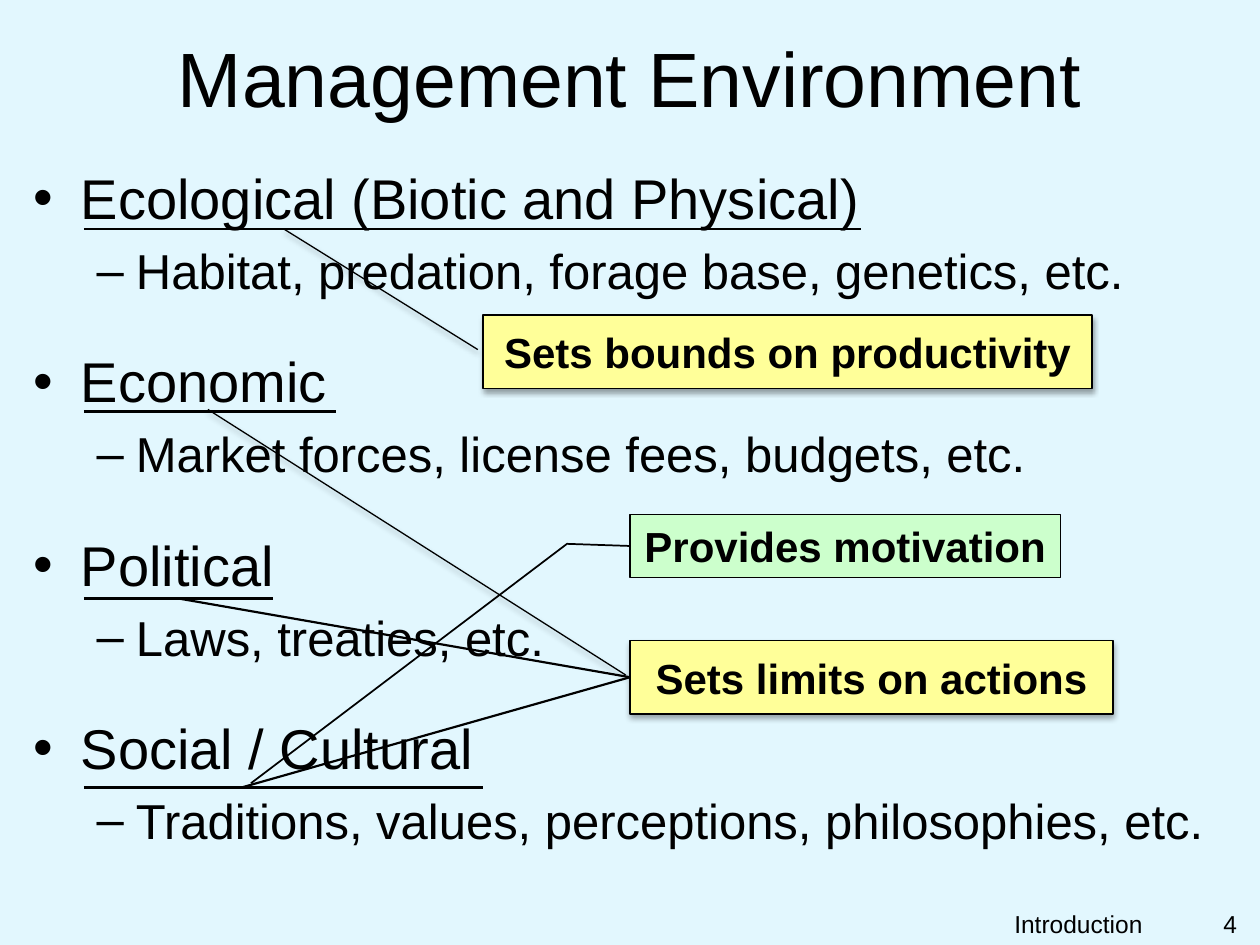
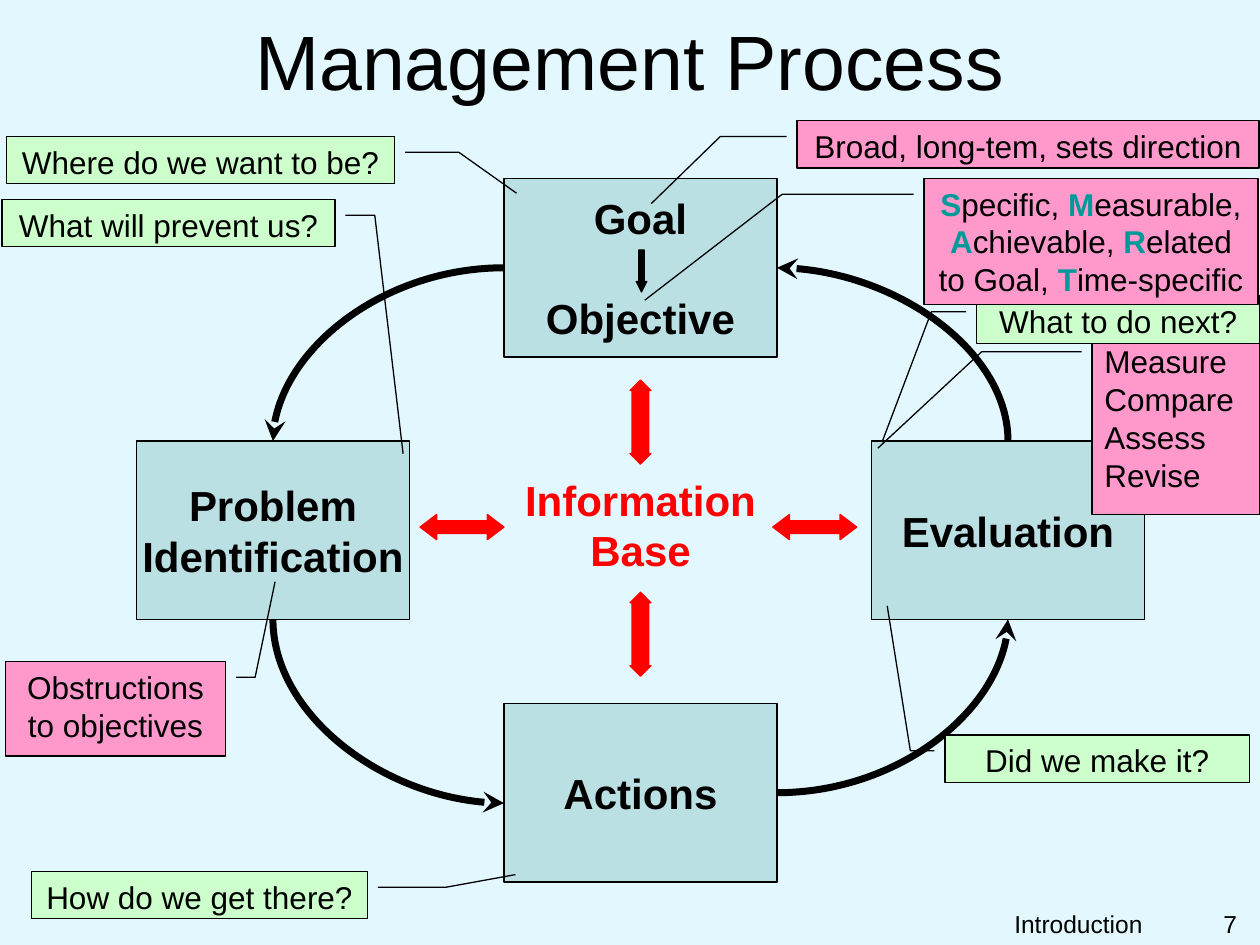
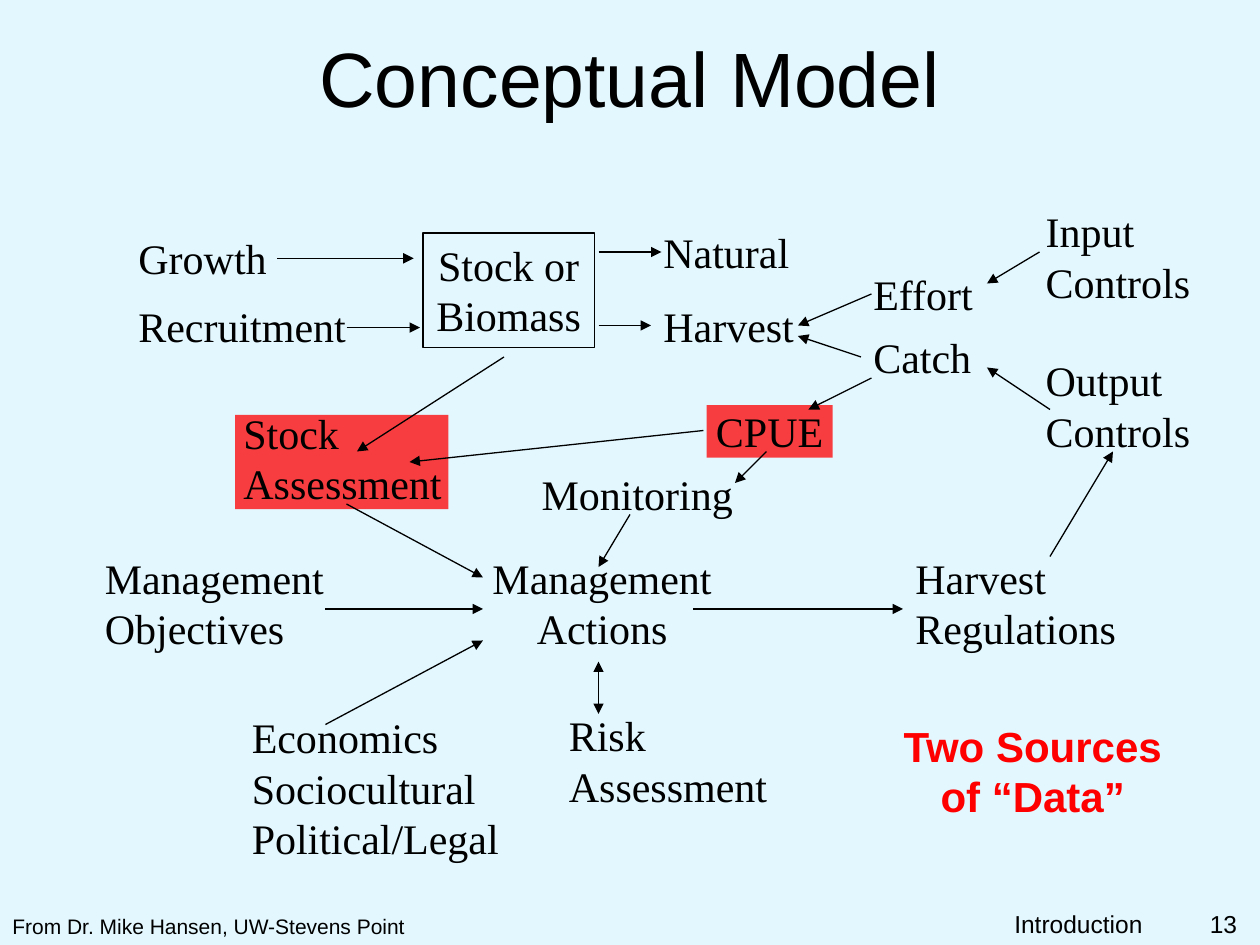
from lxml import etree
from pptx import Presentation
from pptx.dml.color import RGBColor
from pptx.enum.shapes import MSO_CONNECTOR, MSO_SHAPE
from pptx.enum.text import MSO_ANCHOR, PP_ALIGN
from pptx.oxml.ns import qn
from pptx.util import Inches, Pt

STRAIGHT, CURVE = MSO_CONNECTOR.STRAIGHT, MSO_CONNECTOR.CURVE
RECTANGLE, PROCESS = MSO_SHAPE.RECTANGLE, MSO_SHAPE.FLOWCHART_PROCESS
CALLOUTS = {2: MSO_SHAPE.LINE_CALLOUT_1, 3: MSO_SHAPE.LINE_CALLOUT_2}
VERTICAL, HORIZONTAL = MSO_SHAPE.UP_DOWN_ARROW, MSO_SHAPE.LEFT_RIGHT_ARROW
DOWN = MSO_SHAPE.DOWN_ARROW
LEFT, CENTER, RIGHT = PP_ALIGN.LEFT, PP_ALIGN.CENTER, PP_ALIGN.RIGHT
TOP, MIDDLE = MSO_ANCHOR.TOP, MSO_ANCHOR.MIDDLE

# Shared look; every length is in cells of a 120 x 90 grid
COLUMNS, ROWS = 120, 90
WIDTH, HEIGHT = Inches(10), Inches(7.5)
SKY, BLACK, RED, TEAL = "E2F7FE", "000000", "FF0000", "009999"
YELLOW, GREEN, PINK, AQUA = "FFFF99", "CCFFCC", "FF99CC", "BBE0E3"
SANS, SERIF = "Arial", "Times New Roman"
HEADING = {"size": Pt(24), "name": SANS, "bold": True}
NOTE = {"size": Pt(18), "name": SANS}
TERM = {"size": Pt(24), "name": SERIF}
FOOTER = {"size": Pt(14), "name": SANS}
SOURCE = {"size": Pt(12), "name": SANS}


def rgb(color):
    return RGBColor.from_string(color)


def place(x, y):
    return int(WIDTH * x / COLUMNS), int(HEIGHT * y / ROWS)


def area(box):
    return *place(*box[:2]), *place(*box[2:])


def add_run(paragraph, text, style, color):
    run = paragraph.add_run()
    run.text = text
    for name, value in style.items():
        setattr(run.font, name, value)
    run.font.color.rgb = rgb(color)
    return run


def write(frame, text, style, color=BLACK, align=CENTER, anchor=TOP, wrap=True,
          accents=""):
    """One paragraph per line of text; letters in accents stand out."""
    frame.word_wrap = wrap
    frame.vertical_anchor = anchor
    for number, line in enumerate(text.split("\n")):
        paragraph = frame.paragraphs[0] if number == 0 else frame.add_paragraph()
        paragraph.alignment = align
        plain = ""
        for letter in line:
            if letter in accents:
                if plain:
                    add_run(paragraph, plain, style, color)
                add_run(paragraph, letter, {**style, "bold": True}, TEAL)
                plain = ""
            else:
                plain += letter
        if plain:
            add_run(paragraph, plain, style, color)


def add_text(slide, box, text, style, **layout):
    write(slide.shapes.add_textbox(*area(box)).text_frame, text, style, **layout)


def add_box(slide, kind, box, fill=None, line=BLACK, width=0.75, adjust=()):
    shape = slide.shapes.add_shape(kind, *area(box))
    shape.shadow.inherit = False
    if fill:
        shape.fill.solid()
        shape.fill.fore_color.rgb = rgb(fill)
    else:
        shape.fill.background()
    if line:
        shape.line.color.rgb = rgb(line)
        shape.line.width = Pt(width)
    else:
        shape.line.fill.background()
    for index, value in enumerate(adjust):
        shape.adjustments[index] = value
    return shape


def add_alpha(color_element, percent):
    etree.SubElement(color_element, qn("a:alpha"), val=str(percent * 1000))


def add_shadow(shape):
    effects = shape.element.spPr.find(qn("a:effectLst"))
    shadow = etree.SubElement(effects, qn("a:outerShdw"), blurRad=str(Pt(3.1)),
                              dist=str(Pt(1.8)), dir="5400000", rotWithShape="0")
    add_alpha(etree.SubElement(shadow, qn("a:srgbClr"), val=BLACK), 35)


def add_callout(slide, box, leader, text, fill, style, width=0.75, **layout):
    """Box whose leader runs through the given grid points."""
    left, top, wide, high = box
    shares = [share for x, y in leader
              for share in ((y - top) / high, (x - left) / wide)]
    shape = add_box(slide, CALLOUTS[len(leader)], box, fill, width=width,
                    adjust=shares)
    write(shape.text_frame, text, style, **layout)
    return shape


def add_note(slide, box, elbow, tip, text, fill, **layout):
    """Callout whose leader leaves one cell beside the box, near its top."""
    left, top, wide, _ = box
    start = left - 1 if tip[0] < left else left + wide + 1
    leader = [(start, top + 1.5), (elbow, top + 1.5), tip]
    add_callout(slide, box, leader, text, fill, NOTE, **layout)


def add_line(slide, start, end, width=0.75, kind=STRAIGHT, head=None, tail=None):
    line = slide.shapes.add_connector(kind, *place(*start), *place(*end))
    line.line.color.rgb = rgb(BLACK)
    line.line.width = Pt(width)
    properties = line.element.spPr
    outline = properties.find(qn("a:ln"))
    for tag, arrow in (("a:headEnd", head), ("a:tailEnd", tail)):
        if arrow:
            etree.SubElement(outline, qn(tag), type=arrow)
    etree.SubElement(properties, qn("a:effectLst"))
    return line


def add_arc(slide, start, end, **arrows):
    """Quarter curve that leaves start sideways and meets end upright."""
    arc = add_line(slide, start, end, 4, CURVE, **arrows)
    arc.element.spPr.find(qn("a:prstGeom")).set("prst", "curvedConnector2")


def new_slide(prs, layout, title, number, title_top=1.6):
    slide = prs.slides.add_slide(prs.slide_layouts[layout])
    heading = slide.shapes.title
    heading.left, heading.top, heading.width, heading.height = area(
        (0.8, title_top, 118.4, 11.4))
    write(heading.text_frame, title, {"size": Pt(44), "name": SANS}, anchor=MIDDLE)
    add_text(slide, (72, 86, 38, 3), "Introduction", FOOTER, align=RIGHT)
    add_text(slide, (111, 86, 8, 4), number, FOOTER, align=RIGHT)
    return slide


def fill_topics(body, topics):
    body.left, body.top, body.width, body.height = area((2, 15, 116, 70))
    frame = body.text_frame
    for number, (topic, examples) in enumerate(topics):
        heading = frame.add_paragraph() if number else frame.paragraphs[0]
        heading.space_before = Pt(27 if number else 0)
        add_run(heading, topic, {"size": Pt(32), "name": SANS}, BLACK)
        detail = frame.add_paragraph()
        detail.level = 1
        add_run(detail, examples, {"size": Pt(28), "name": SANS}, BLACK)


def build_environment(prs):
    slide = new_slide(prs, 1, "Management Environment", "4")
    fill_topics(slide.placeholders[1], [
        ("Ecological (Biotic and Physical)",
         "Habitat, predation, forage base, genetics, etc."),
        ("Economic", "Market forces, license fees, budgets, etc."),
        ("Political", "Laws, treaties, etc."),
        ("Social / Cultural", "Traditions, values, perceptions, philosophies, etc."),
    ])

    # Topic underlines
    for right, row in ((82, 21.8), (32, 39.2), (26, 57), (46, 75)):
        add_line(slide, (8, row), (right, row), 1.5)

    # Effects of the topics
    for box, leader, effect in (
        ((46, 30, 58, 7), [(45.5, 33.3), (27, 21.8)], "Sets bounds on productivity"),
        ((60, 61, 46, 7), [(59.6, 64.3), (19.8, 39)], "Sets limits on actions"),
    ):
        add_shadow(add_callout(slide, box, leader, effect, YELLOW, HEADING,
                               anchor=MIDDLE))
    for topic_point in ((17, 57), (23, 75)):
        add_line(slide, (60, 64.5), topic_point, 1.25)
    add_callout(slide, (60, 49, 41, 6), [(60, 52), (54, 51.8), (23.9, 74.6)],
                "Provides motivation", GREEN, HEADING, width=1)


def build_process(prs):
    slide = new_slide(prs, 5, "Management Process", "7", title_top=0)

    # Four steps around the information base
    middle_x, middle_y, wide, high = 61, 50.5, 26, 17
    for across, down, step in (
        (0, -25, "Goal\nObjective"), (0, 25, "Actions"),
        (-35, 0, "Problem\nIdentification"), (35, 0, "Evaluation"),
    ):
        box = (middle_x + across - wide / 2, middle_y + down - high / 2, wide, high)
        frame = add_box(slide, PROCESS, box, AQUA).text_frame
        write(frame, step, HEADING, anchor=MIDDLE, wrap=False)
        if step.startswith("Goal"):
            frame.paragraphs[1].space_before = Pt(28.8)
    add_text(slide, (48.8, 44.6, 24.4, 10.8), "Information\nBase", HEADING,
             color=RED, wrap=False)

    # Exchange with the base, and goal to objective
    for row in (36.2, 56.4):
        add_box(slide, VERTICAL, (60, row, 2, 8), RED, RED, adjust=(0.5, 0.8))
    for column in (40, 73.6):
        add_box(slide, HORIZONTAL, (column, 49, 8, 2.4), RED, RED,
                adjust=(0.5, 0.66))
    add_box(slide, DOWN, (60.6, 23.8, 1, 4), BLACK, adjust=(0.5, 1))

    # Cycle of steps
    add_arc(slide, (74, 75.5), (96, 59), tail="stealth")
    add_arc(slide, (74, 25.5), (96, 42), head="stealth")
    add_arc(slide, (48, 25.5), (26, 42), tail="stealth")
    add_arc(slide, (48, 76.5), (26, 59), head="stealth")

    # Notes on the steps
    add_note(slide, (75.9, 11.5, 44, 4.5), 68.6, (62, 19.4),
             "Broad, long-tem, sets direction", PINK)
    add_note(slide, (0.5, 63, 21, 9), 24.3, (26.2, 55.4),
             "Obstructions to objectives", PINK)
    add_note(slide, (0.6, 13, 37, 4.5), 43.7, (49.2, 18.4),
             "Where do we want to be?", GREEN)
    add_note(slide, (0.2, 19, 31.7, 4.5), 35.7, (38.4, 43.2),
             "What will prevent us?", GREEN)
    add_note(slide, (90, 70, 29, 4.5), 86.7, (84.5, 57.7), "Did we make it?", GREEN)
    add_note(slide, (104, 32, 16, 17), 93.5, (83.6, 42.7),
             "Measure\nCompare\nAssess\nRevise", PINK, align=LEFT)
    add_note(slide, (93, 28.2, 27, 4.5), 88.7, (84, 42.1), "What to do next?", GREEN)
    add_note(slide, (3, 83, 32, 4.5), 42.5, (49.1, 83.3),
             "How do we get there?", GREEN)
    add_note(slide, (88, 17, 31.8, 12), 74.5, (61.4, 28.6),
             "Specific, Measurable, Achievable, Related to Goal, Time-specific",
             PINK, accents="SMART")


def build_model(prs):
    slide = new_slide(prs, 5, "Conceptual Model", "13")

    # Highlights of the two data sources
    for box in ((67.3, 38.6, 12, 5), (22.4, 39.5, 20.3, 9)):
        highlight = add_box(slide, RECTANGLE, box, RED, line=None)
        add_alpha(highlight.element.spPr.find(qn("a:solidFill"))[0], 75)

    # Terms
    stock = add_box(slide, RECTANGLE, (40.3, 22.2, 16.3, 10.9))
    write(stock.text_frame, "Stock or\nBiomass", TERM, anchor=TOP, wrap=False)
    for x, y, wide, term in (
        (12, 21.6, 14.6, "Growth"), (12, 28, 22.2, "Recruitment"),
        (62, 21, 14.4, "Natural"), (62, 28, 14.9, "Harvest"),
        (82, 25, 12, "Effort"), (82, 31, 11.8, "Catch"),
        (98.4, 19, 16.2, "Input\nControls"), (98.4, 33.2, 16.2, "Output\nControls"),
        (22, 38.2, 21.4, "Stock\nAssessment"), (67, 38, 12.6, "CPUE"),
        (50.4, 44, 20.6, "Monitoring"), (8.8, 52, 23.3, "Management\nObjectives"),
        (45.7, 52, 23.3, "Management\nActions"),
        (86, 52, 21.5, "Harvest\nRegulations"), (53, 67, 21.4, "Risk\nAssessment"),
        (22.8, 67.2, 26.2, "Economics\nSociocultural\nPolitical/Legal"),
    ):
        high = 1.2 + 4.8 * len(term.split("\n"))
        add_text(slide, (x, y, wide, high), term, TERM, wrap=False,
                 align=CENTER if term.endswith("Actions") else LEFT)

    # Flows between the terms
    for start, end in (
        ((26.4, 24.6), (39.4, 24.6)), ((33, 31.2), (40, 31.2)),
        ((57, 24), (63, 24)), ((57, 31), (62, 31)),
        ((83, 28), (76, 31)), ((82, 34), (76, 32)),
        ((99, 24), (94, 27)), ((100, 39), (94, 35)), ((100, 53), (106, 43)),
        ((83, 36), (77, 39)), ((67, 41), (39, 44)), ((73, 43), (70, 46)),
        ((60, 49), (57, 54)), ((48, 34), (34, 43)), ((33, 48), (46, 55)),
        ((31, 58), (46, 58)), ((31, 69), (46, 61)), ((66, 58), (86, 58)),
    ):
        add_line(slide, start, end, tail="triangle")
    add_line(slide, (57, 63), (57, 68), head="triangle", tail="triangle")

    # Source and remark
    add_text(slide, (0, 86.4, 40, 3.6), "From Dr. Mike Hansen, UW-Stevens Point",
             SOURCE, align=LEFT, wrap=False)
    add_text(slide, (84.6, 68, 27.5, 10.8), "Two Sources of “Data”", HEADING,
             color=RED)


def main():
    prs = Presentation()
    prs.slide_width, prs.slide_height = WIDTH, HEIGHT
    background = prs.slide_master.background.fill
    background.solid()
    background.fore_color.rgb = rgb(SKY)
    build_environment(prs)
    build_process(prs)
    build_model(prs)
    prs.save("out.pptx")


if __name__ == "__main__":
    main()
